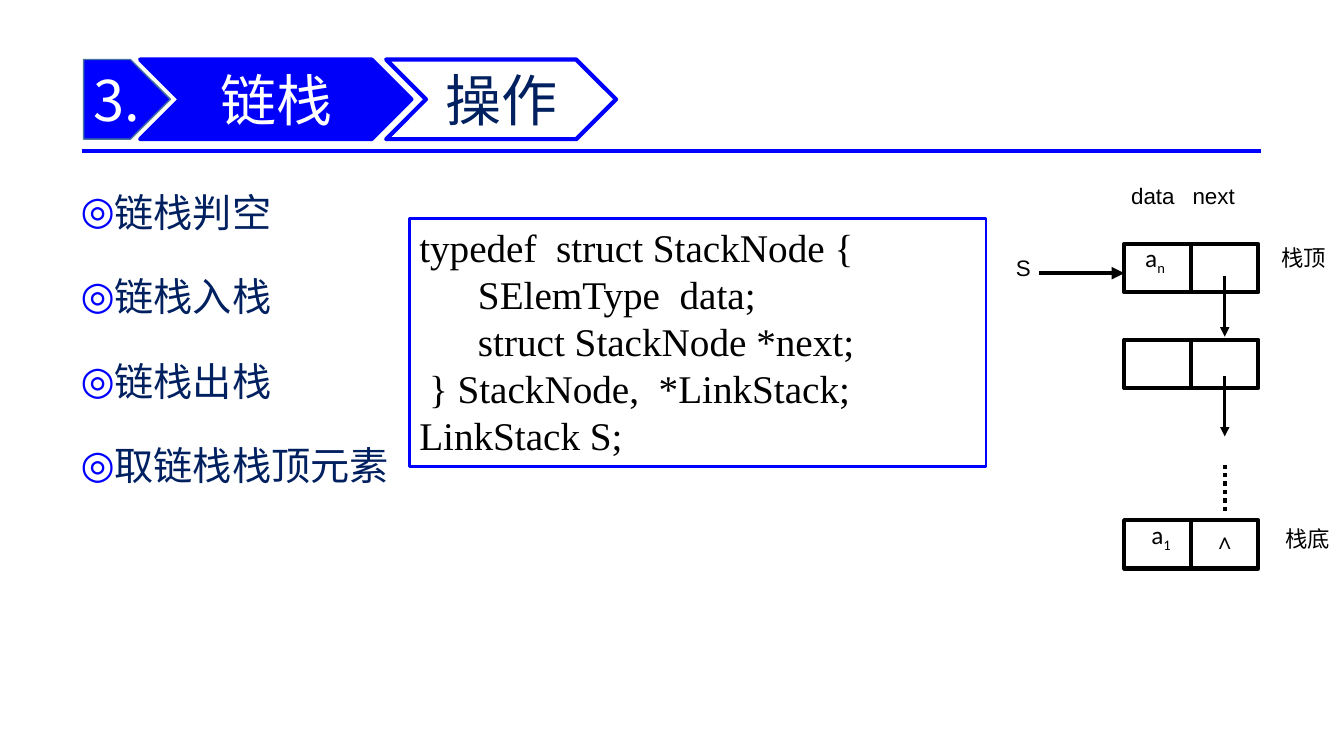
from lxml import etree
from pptx import Presentation
from pptx.dml.color import RGBColor
from pptx.enum.dml import MSO_LINE
from pptx.enum.shapes import MSO_CONNECTOR, MSO_SHAPE
from pptx.enum.text import MSO_ANCHOR, MSO_AUTO_SIZE, PP_ALIGN
from pptx.oxml.ns import qn
from pptx.util import Inches, Pt

LEFT, CENTER = PP_ALIGN.LEFT, PP_ALIGN.CENTER
TOP, MIDDLE = MSO_ANCHOR.TOP, MSO_ANCHOR.MIDDLE
NO_AUTOFIT = MSO_AUTO_SIZE.NONE
STRAIGHT = MSO_CONNECTOR.STRAIGHT
DOTTED = MSO_LINE.ROUND_DOT
RECTANGLE = MSO_SHAPE.RECTANGLE

BLUE = RGBColor(0x00, 0x00, 0xFF)
CHEVRON_BLUE = RGBColor(0x00, 0x00, 0xFA)
STEEL = RGBColor(0x43, 0x73, 0x9E)
NAVY = RGBColor(0x00, 0x20, 0x60)
WHITE = RGBColor(0xFF, 0xFF, 0xFF)
BLACK = RGBColor(0x00, 0x00, 0x00)
HAN = "Noto Sans CJK SC"

HEADING_FONT = {"name": HAN, "size": Pt(40)}
LIST_FONT = {"name": HAN, "size": Pt(28)}
CODE_FONT = {"name": "Times New Roman", "size": Pt(28)}
LABEL_FONT = {"name": "Arial", "size": Pt(16)}
ELEMENT_FONT = {"name": "Calibri", "size": Pt(18)}

TITLE = "链栈"
OPERATIONS = ["链栈判空", "链栈入栈", "链栈出栈", "取链栈栈顶元素"]
CODE = [
    "typedef  struct StackNode {",
    "      SElemType  data;",
    "      struct StackNode *next;",
    " } StackNode,  *LinkStack;",
    "LinkStack S;",
]

# Header band: shape, left, width, fill, line colour, line width, text, text colour, alignment
BAND_TOP, BAND_HEIGHT = 0.59, 0.79
BAND = [
    (MSO_SHAPE.PENTAGON, 0.83, 0.86, BLUE, STEEL, 1, "3.", WHITE, LEFT),
    (MSO_SHAPE.CHEVRON, 1.39, 2.69, CHEVRON_BLUE, BLUE, 3, "", WHITE, CENTER),
    (MSO_SHAPE.CHEVRON, 3.83, 2.28, WHITE, BLUE, 3, "操作", NAVY, CENTER),
]

# Linked list
NODE_LEFT, NODE_WIDTH, NODE_HEIGHT = 11.15, 1.33, 0.48
NODE_TOPS = [2.42, 3.37, 5.16]
POINTER_X = NODE_LEFT + NODE_WIDTH * 0.75
POINTER_STARTS, POINTER_LENGTH = [2.74, 3.73], 0.6
LABEL_HEIGHT = 0.39
LABELS = [  # text, left, top, width, alignment
    ("data", 11.12, 1.76, 0.7, LEFT),
    ("next", 11.73, 1.76, 0.7, LEFT),
    ("栈顶", 12.61, 2.37, 0.68, LEFT),
    ("栈底", 12.65, 5.16, 0.68, LEFT),
    ("∧", POINTER_X - 0.25, 5.18, 0.5, CENTER),
    ("S", 9.9, 2.47, 0.5, CENTER),
]
ELEMENTS = [("a", "n", 11.26, 2.35), ("a", "1", 11.32, 5.1)]


def apply_font(run, font_format, color):
    for attribute, value in font_format.items():
        setattr(run.font, attribute, value)
    run.font.color.rgb = color
    east_asian = etree.SubElement(run.font._element, qn("a:ea"))
    east_asian.set("typeface", HAN)


def write(shape, lines, font_format, color, alignment=LEFT, anchor=TOP, wrap=True, **spacing):
    frame = shape.text_frame
    frame.auto_size = NO_AUTOFIT
    frame.word_wrap = wrap
    frame.vertical_anchor = anchor
    for index, line in enumerate(lines):
        paragraph = frame.paragraphs[0] if index == 0 else frame.add_paragraph()
        paragraph.alignment = alignment
        for attribute, value in spacing.items():
            if index or attribute != "space_before":
                setattr(paragraph, attribute, value)
        run = paragraph.add_run()
        run.text = line
        apply_font(run, font_format, color)
    return frame


def place(shape, *box):
    shape.left, shape.top, shape.width, shape.height = map(Inches, box)


def add_bullet(paragraph):
    properties = paragraph._p.get_or_add_pPr()
    properties.set("marL", str(Inches(0.25)))
    properties.set("indent", str(-Inches(0.25)))
    bullet_color = etree.SubElement(properties, qn("a:buClr"))
    etree.SubElement(bullet_color, qn("a:srgbClr")).set("val", str(BLUE))
    etree.SubElement(properties, qn("a:buChar")).set("char", "◎")


def add_box(slide, preset, box, fill, line_color, line_width):
    shape = slide.shapes.add_shape(preset, *map(Inches, box))
    shape.shadow.inherit = False
    shape.fill.solid()
    shape.fill.fore_color.rgb = fill
    shape.line.color.rgb = line_color
    shape.line.width = Pt(line_width)
    return shape


def add_line(slide, start, end, color=BLACK, width=3, arrow=False):
    line = slide.shapes.add_connector(STRAIGHT, *map(Inches, start + end))
    line.line.color.rgb = color
    line.line.width = Pt(width)
    etree.SubElement(line._element.spPr, qn("a:effectLst"))
    if arrow:
        etree.SubElement(line.line._get_or_add_ln(), qn("a:tailEnd")).set("type", "triangle")
    return line


def add_header(slide):
    add_line(slide, (0.81, 1.5), (12.51, 1.5), BLUE)
    for preset, left, width, fill, edge, edge_width, text, color, alignment in BAND:
        box = (left, BAND_TOP, width, BAND_HEIGHT)
        shape = add_box(slide, preset, box, fill, edge, edge_width)
        if text:
            write(shape, [text], HEADING_FONT, color, alignment, MIDDLE)
    title = slide.shapes.title
    place(title, 1.58, 0.44, 2.32, 1.08)
    write(title, [TITLE], HEADING_FONT, WHITE, CENTER, MIDDLE)
    title.element.getparent().append(title.element)  # bring in front of its chevron


def add_operations(slide):
    body = slide.placeholders[1]
    place(body, 0.7, 1.58, 3.75, 5.23)
    frame = write(body, OPERATIONS, LIST_FONT, NAVY, line_spacing=1.5, space_before=Pt(10))
    for paragraph in frame.paragraphs:
        add_bullet(paragraph)


def add_code(slide):
    box = add_box(slide, RECTANGLE, (4.06, 2.17, 5.72, 2.46), WHITE, BLUE, 2)
    write(box, CODE, CODE_FONT, BLACK, line_spacing=Pt(33.6))


def add_linked_list(slide):
    middle = NODE_LEFT + NODE_WIDTH / 2
    for top in NODE_TOPS:
        node = add_box(slide, RECTANGLE, (NODE_LEFT, top, NODE_WIDTH, NODE_HEIGHT), WHITE, BLACK, 3)
        divider = add_line(slide, (middle, top), (middle, top + NODE_HEIGHT))
        divider.begin_connect(node, 0)
        divider.end_connect(node, 2)
    for start in POINTER_STARTS:
        add_line(slide, (POINTER_X, start), (POINTER_X, start + POINTER_LENGTH), width=2.25, arrow=True)
    add_line(slide, (POINTER_X, 4.61), (POINTER_X, 5.09)).line.dash_style = DOTTED
    add_line(slide, (10.31, 2.71), (NODE_LEFT, 2.71), arrow=True)
    for text, left, top, width, alignment in LABELS:
        label = slide.shapes.add_textbox(*map(Inches, (left, top, width, LABEL_HEIGHT)))
        write(label, [text], LABEL_FONT, BLACK, alignment)
    for letter, subscript, left, top in ELEMENTS:
        element = slide.shapes.add_textbox(*map(Inches, (left, top, 0.41, 0.4)))
        frame = write(element, [letter], ELEMENT_FONT, BLACK, wrap=False)
        run = frame.paragraphs[0].add_run()
        run.text = subscript
        apply_font(run, ELEMENT_FONT, BLACK)
        run.font._element.set("baseline", "-25000")


def main():
    presentation = Presentation()
    presentation.slide_width, presentation.slide_height = Inches(13.33), Inches(7.5)
    slide = presentation.slides.add_slide(presentation.slide_layouts[1])
    add_operations(slide)
    add_code(slide)
    add_linked_list(slide)
    add_header(slide)
    presentation.save("out.pptx")


if __name__ == "__main__":
    main()
